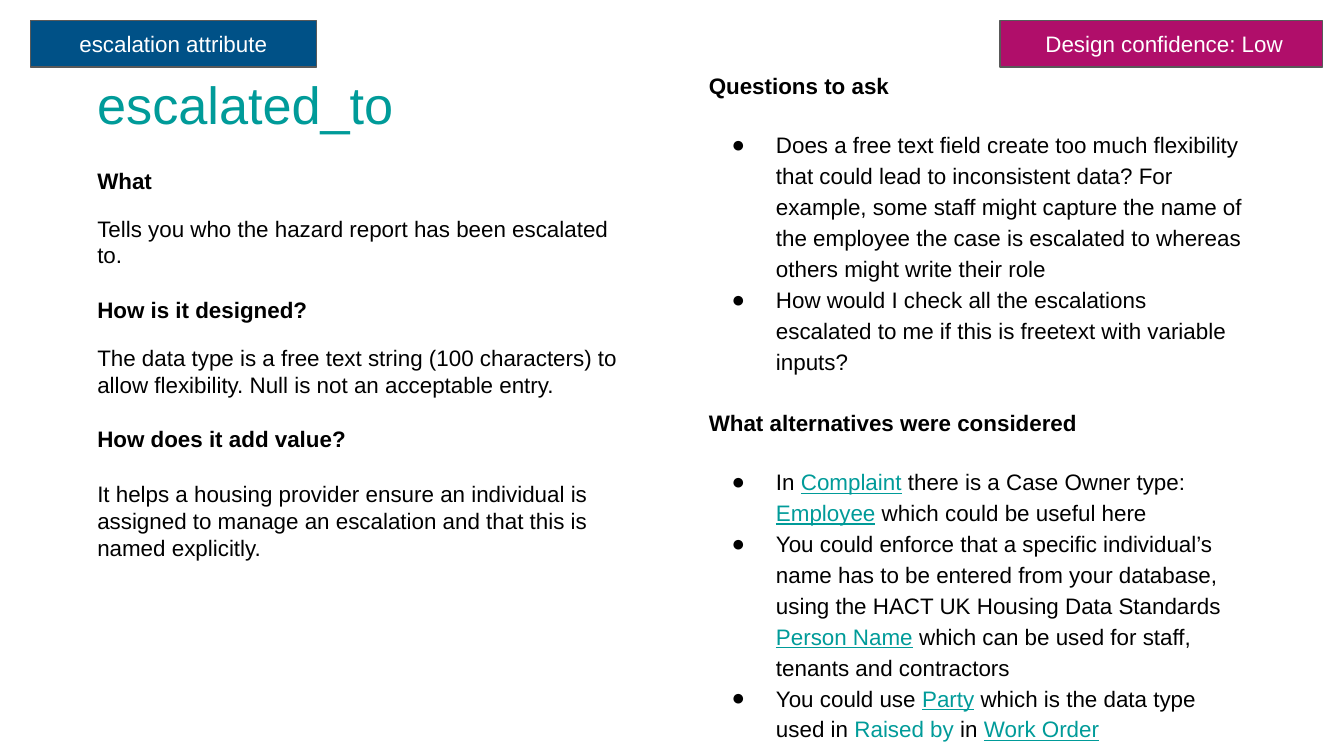
from dataclasses import dataclass

from lxml.etree import SubElement
from pptx import Presentation
from pptx.dml.color import RGBColor
from pptx.enum.shapes import MSO_SHAPE
from pptx.enum.text import MSO_ANCHOR, PP_ALIGN
from pptx.oxml.ns import qn
from pptx.util import Pt

EMU_PER_PX = 4572


@dataclass(frozen=True)
class Theme:
    font: str = "Arial"
    ink: str = "000000"
    teal: str = "009B99"
    blue: str = "005187"
    magenta: str = "B00E6A"
    white: str = "FFFFFF"
    border: str = "595959"
    title_size: int = 28
    text_size: int = 12
    inset: int = 20
    bullet_indent: int = 100
    bullet_hang: int = 66
    line_spacing: float = 1.15


THEME = Theme()

DEFINITIONS = [
    ("What", 0, "Tells you who the hazard report has been escalated to.", 11),
    ("How is it designed?", 15,
     "The data type is a free text string (100 characters) to allow flexibility. "
     "Null is not an acceptable entry.", 11),
    ("How does it add value?", 15,
     "It helps a housing provider ensure an individual is assigned to manage "
     "an escalation and that this is named explicitly.", 15),
]

PLAIN, TEAL, LINK = "plain", "teal", "link"

DISCUSSION = [
    ("Questions to ask", 0, None, [
        [("Does a free text field create too much flexibility that could lead to "
          "inconsistent data? For example, some staff might capture the name of the "
          "employee the case is escalated to whereas others might write their role", PLAIN)],
        [("How would I check all the escalations escalated to me if this is freetext "
          "with variable inputs?", PLAIN)],
    ]),
    ("What alternatives were considered", 16.5, THEME.line_spacing, [
        [("In ", PLAIN), ("Complaint", LINK), (" there is a Case Owner type: ", PLAIN),
         ("Employee", LINK), (" which could be useful here", PLAIN)],
        [("You could enforce that a specific individual’s name has to be entered from "
          "your database, using the HACT UK Housing Data Standards ", PLAIN),
         ("Person Name", LINK),
         (" which can be used for staff, tenants and contractors", PLAIN)],
        [("You could use ", PLAIN), ("Party", LINK),
         (" which is the data type used in ", PLAIN), ("Raised by", TEAL),
         (" in ", PLAIN), ("Work Order", LINK)],
    ]),
]


def px(length):
    return length * EMU_PER_PX


def set_font(font, color, size=THEME.text_size, bold=False):
    font.name = THEME.font
    font.size = Pt(size)
    font.bold = bold
    font.color.rgb = RGBColor.from_string(color)


def prepare_frame(frame):
    frame.word_wrap = True
    frame.margin_left = frame.margin_right = px(THEME.inset)
    frame.margin_top = frame.margin_bottom = px(THEME.inset)
    return frame


def add_text_frame(page, box):
    return prepare_frame(page.shapes.add_textbox(*map(px, box)).text_frame)


def next_paragraph(frame):
    first = frame.paragraphs[0]
    return frame.add_paragraph() if first.runs else first


def add_line(frame, text, space_before=0, spacing=None, **style):
    para = next_paragraph(frame)
    para.text = text
    para.space_before = Pt(space_before)
    para.line_spacing = spacing
    set_font(para.runs[0].font, **style)


def add_bullet(frame, spans, space_before):
    para = next_paragraph(frame)
    para.space_before = Pt(space_before)
    para.line_spacing = THEME.line_spacing
    properties = para._p.get_or_add_pPr()
    properties.set("marL", str(px(THEME.bullet_indent)))
    properties.set("indent", str(-px(THEME.bullet_hang)))
    bullet_color = SubElement(properties, qn("a:buClr"))
    SubElement(bullet_color, qn("a:srgbClr"), val=THEME.ink)
    SubElement(properties, qn("a:buFont"), typeface=THEME.font)
    SubElement(properties, qn("a:buChar"), char="●")
    for text, kind in spans:
        span = para.add_run()
        span.text = text
        set_font(span.font, THEME.ink if kind == PLAIN else THEME.teal)
        span.font.underline = kind == LINK


def add_title(page, box, text):
    frame = add_text_frame(page, box)
    add_line(frame, text, color=THEME.teal, size=THEME.title_size)


def add_definitions(page, box, definitions):
    frame = add_text_frame(page, box)
    for heading, heading_gap, body, body_gap in definitions:
        add_line(frame, heading, heading_gap, color=THEME.ink, bold=True)
        add_line(frame, body, body_gap, color=THEME.ink)


def add_discussion(page, box, sections):
    frame = add_text_frame(page, box)
    for heading, heading_gap, spacing, bullets in sections:
        add_line(frame, heading, heading_gap, spacing, color=THEME.ink, bold=True)
        for index, spans in enumerate(bullets):
            add_bullet(frame, spans, 0 if index else 15)


def add_tag(page, box, text, color):
    tag = page.shapes.add_shape(MSO_SHAPE.RECTANGLE, *map(px, box))
    tag.shadow.inherit = False
    tag.fill.solid()
    tag.fill.fore_color.rgb = RGBColor.from_string(color)
    tag.line.color.rgb = RGBColor.from_string(THEME.border)
    tag.line.width = Pt(0.75)
    frame = prepare_frame(tag.text_frame)
    frame.vertical_anchor = MSO_ANCHOR.MIDDLE
    add_line(frame, text, color=THEME.white)
    frame.paragraphs[0].alignment = PP_ALIGN.CENTER


def main():
    deck = Presentation()
    deck.slide_width, deck.slide_height = px(2000), px(1125)
    page = deck.slides.add_slide(deck.slide_layouts[6])
    add_title(page, (125, 88, 886, 126), "escalated_to")
    add_definitions(page, (125, 229, 838, 688), DEFINITIONS)
    add_discussion(page, (1035, 88, 838, 666), DISCUSSION)
    add_tag(page, (1488, 31, 480, 69), " Design confidence: Low", THEME.magenta)
    add_tag(page, (45, 31, 426, 69), "escalation attribute", THEME.blue)
    deck.save("out.pptx")


if __name__ == "__main__":
    main()
